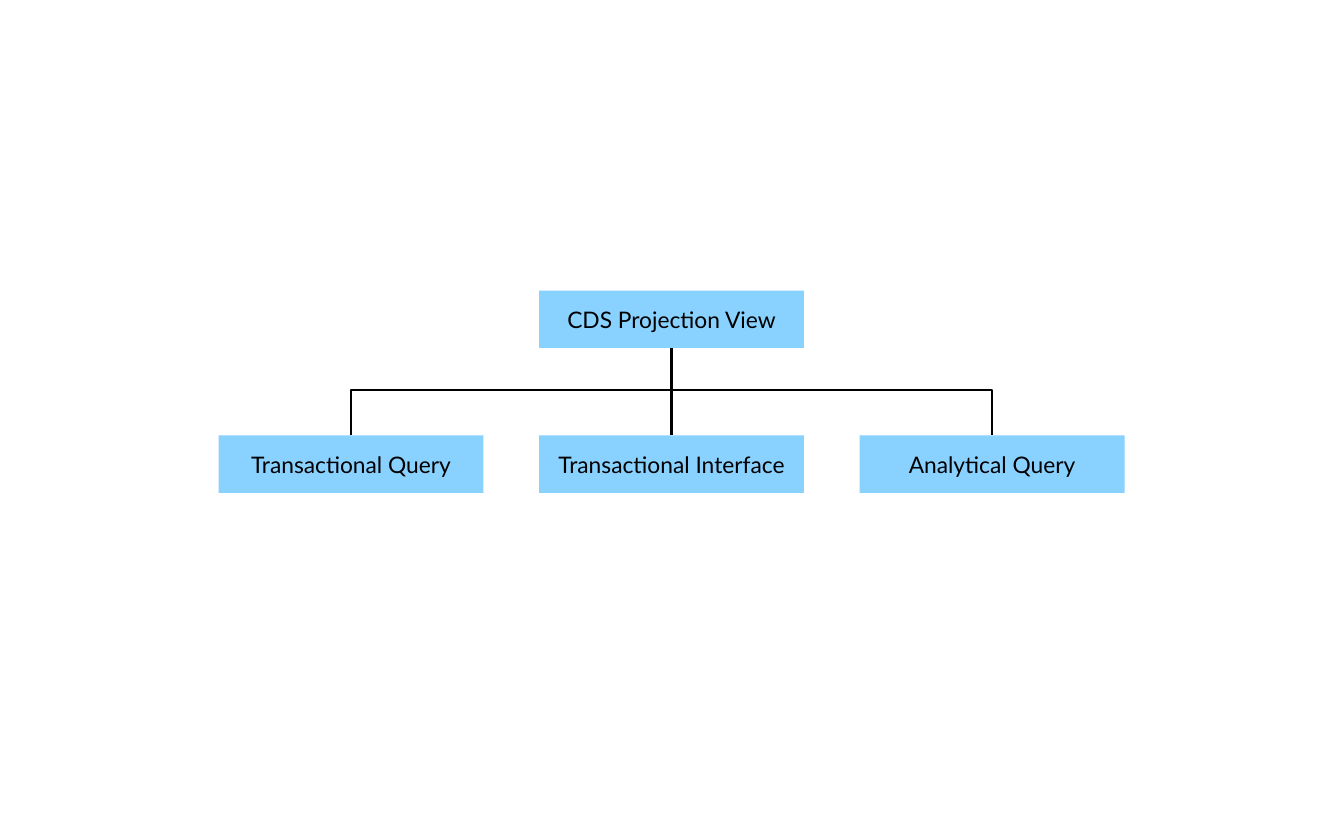
from pptx import Presentation
from pptx.dml.color import RGBColor
from pptx.enum.shapes import MSO_CONNECTOR, MSO_SHAPE
from pptx.enum.text import MSO_ANCHOR, PP_ALIGN
from pptx.oxml.ns import qn
from pptx.util import Inches, Pt
from lxml import etree

COLORS = {"box": "89D1FF", "ink": "000000"}
FONT = "Lato"
BOX_WIDTH, BOX_HEIGHT = 2.91, 0.63
LEFT, COLUMN_STEP = 2.4, 3.52
PARENT_TOP, CHILD_TOP, BRACKET_TOP = 3.19, 4.78, 4.28
CHILDREN = ["Transactional Query", "Transactional Interface", "Analytical Query"]
BOTTOM_SITE, TOP_SITE = 2, 0


def color(name):
    return RGBColor.from_string(COLORS[name])


def style_line(line):
    line.color.rgb = color("ink")
    line.width = Pt(2)


def add_box(slide, column, top, text):
    shape = slide.shapes.add_shape(
        MSO_SHAPE.RECTANGLE, Inches(LEFT + column * COLUMN_STEP), Inches(top),
        Inches(BOX_WIDTH), Inches(BOX_HEIGHT))
    shape.shadow.inherit = False
    shape.fill.solid()
    shape.fill.fore_color.rgb = color("box")
    shape.line.fill.background()
    frame = shape.text_frame
    frame.word_wrap = True
    frame.vertical_anchor = MSO_ANCHOR.MIDDLE
    paragraph = frame.paragraphs[0]
    paragraph.alignment = PP_ALIGN.CENTER
    run = paragraph.add_run()
    run.text = text
    run.font.name = FONT
    run.font.size = Pt(18)
    run.font.color.rgb = color("ink")
    return shape


def add_trunk(slide, parent, child):
    connector = slide.shapes.add_connector(MSO_CONNECTOR.STRAIGHT, 0, 0, 0, 0)
    connector.begin_connect(parent, BOTTOM_SITE)
    connector.end_connect(child, TOP_SITE)
    style_line(connector.line)
    etree.SubElement(connector._element.spPr, qn("a:effectLst"))


def add_bracket(slide, first, last):
    start, end = (box.left + box.width // 2 for box in (first, last))
    top = Inches(BRACKET_TOP)
    builder = slide.shapes.build_freeform(start, first.top)
    builder.add_line_segments(
        [(start, top), (end, top), (end, last.top)], close=False)
    shape = builder.convert_to_shape()
    shape.shadow.inherit = False
    shape.fill.background()
    style_line(shape.line)


def main():
    presentation = Presentation()
    presentation.slide_width = Inches(14.76)
    presentation.slide_height = Inches(9.22)
    slide = presentation.slides.add_slide(presentation.slide_layouts[6])

    # Parent view above its three kinds
    parent = add_box(slide, 1, PARENT_TOP, "CDS Projection View")
    children = [add_box(slide, column, CHILD_TOP, text)
                for column, text in enumerate(CHILDREN)]

    # Tree lines
    add_bracket(slide, children[0], children[-1])
    add_trunk(slide, parent, children[1])

    presentation.save("out.pptx")


if __name__ == "__main__":
    main()
